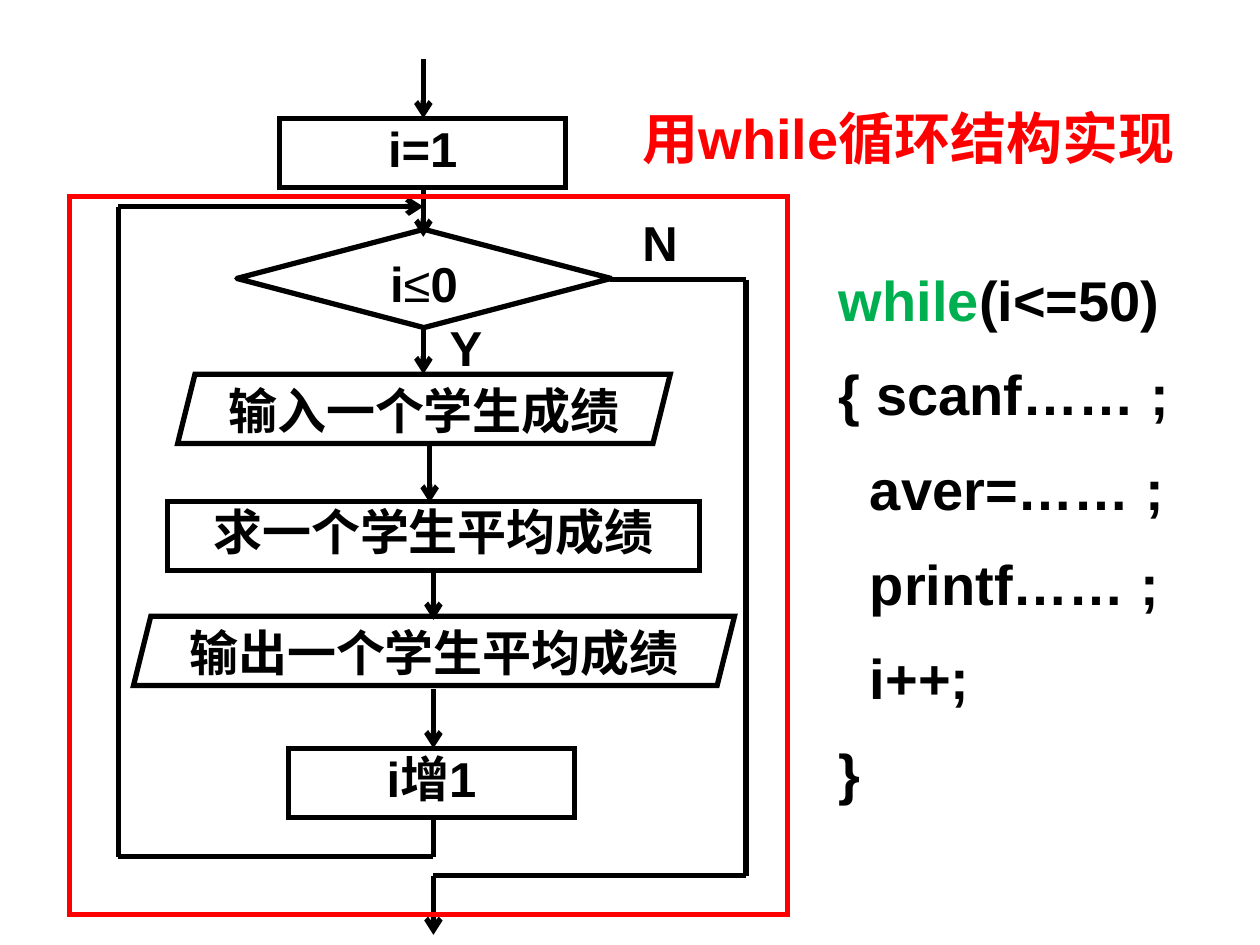
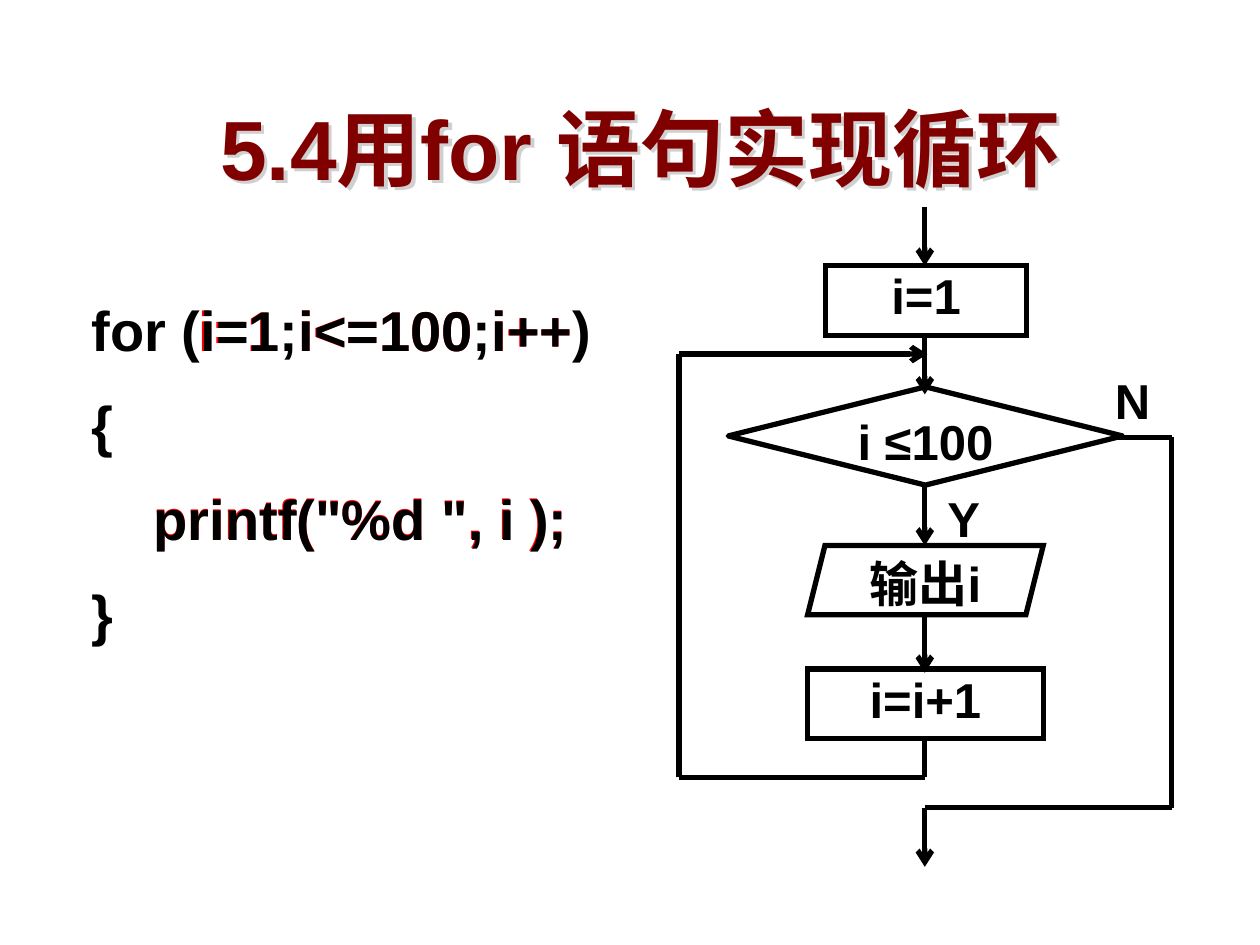
from lxml import etree
from pptx import Presentation
from pptx.dml.color import RGBColor
from pptx.enum.shapes import MSO_CONNECTOR, MSO_SHAPE
from pptx.enum.text import MSO_ANCHOR, MSO_AUTO_SIZE, PP_ALIGN
from pptx.oxml import parse_xml
from pptx.oxml.ns import nsdecls, qn
from pptx.util import Emu, Pt

PX = 9144
FONT = "Arial"
BLACK = RGBColor(0, 0, 0)
WHITE = RGBColor(255, 255, 255)
RED = RGBColor(255, 0, 0)
GREEN = RGBColor(0, 176, 80)
MAROON = RGBColor(128, 0, 0)
SHADOW = RGBColor(208, 208, 208)
PROCESS = MSO_SHAPE.FLOWCHART_PROCESS
DECISION = MSO_SHAPE.FLOWCHART_DECISION
DATA = MSO_SHAPE.PARALLELOGRAM


def px(*lengths):
    return [Emu(length * PX) for length in lengths]


def set_text(frame, lines, size, color, align=PP_ALIGN.LEFT, code=False):
    frame.auto_size = MSO_AUTO_SIZE.NONE
    for index, parts in enumerate(lines):
        paragraph = frame.add_paragraph() if index else frame.paragraphs[0]
        paragraph.alignment = align
        if code:
            paragraph.line_spacing = 1.2
            if index:
                paragraph.space_before = Pt(8)
        paragraph.font.name = FONT
        paragraph.font.size = Pt(size)
        paragraph.font.bold = True
        paragraph.font.color.rgb = color
        for part in parts:
            run = paragraph.add_run()
            run.text = part
            if part == "while":
                run.font.color.rgb = GREEN
            elif part == "≤":
                run.font.bold = False


while_chart = {
    "title": ("用while循环结构实现", (500, 77, 477, 64), 32, RED, PP_ALIGN.LEFT, MSO_ANCHOR.TOP),
    "code": [
        ((656, 195, 297, 461), BLACK,
         [["while", "(i<=50)"], ["{ scanf…… ;"], ["  aver=…… ;"],
          ["  printf…… ;"], ["  i++;"], ["}"]]),
    ],
    "nodes": [
        (PROCESS, (222, 94, 227, 55), ["i=1"]),
        (DECISION, (188, 182, 297, 78), ["i", "≤", "0"]),
        (DATA, (141, 297, 391, 55), ["输入一个学生成绩"]),
        (PROCESS, (133, 398, 422, 55), ["求一个学生平均成绩"]),
        (DATA, (106, 489, 477, 55), ["输出一个学生平均成绩"]),
        (PROCESS, (229, 594, 227, 55), ["i增1"]),
    ],
    "arrows": [
        [(336, 47), (336, 94)],
        [(336, 148), (336, 188)],
        [(336, 258), (336, 297)],
        [(341, 352), (341, 399)],
        [(344, 453), (344, 492)],
        [(344, 547), (344, 594)],
        [(344, 648), (344, 680), (94, 680), (94, 164), (336, 164)],
        [(484, 222), (592, 222), (592, 695), (344, 695), (344, 742)],
    ],
    "branches": {"Y": (347, 247), "N": (500, 164)},
}
for_chart = {
    "title": ("5.4用for 语句实现循环", (47, 71, 922, 91), 48, MAROON, PP_ALIGN.CENTER, MSO_ANCHOR.MIDDLE),
    "code": [
        ((112, 368, 367, 78), RED, [['printf("%d ", i );']]),
        ((380, 219, 102, 78), RED, [["i++"]]),
        ((227, 219, 180, 70), RED, [["i<=100"]]),
        ((148, 219, 102, 63), RED, [["i=1"]]),
        ((63, 219, 422, 313), BLACK,
         [["for (i=1;i<=100;i++)"], ["{"], ['    printf("%d ", i );'], ["}"]]),
    ],
    "nodes": [
        (PROCESS, (655, 211, 160, 55), ["i=1"]),
        (DECISION, (578, 307, 313, 78), ["i ≤100"]),
        (DATA, (641, 433, 187, 55), ["输出i"]),
        (PROCESS, (641, 531, 187, 55), ["i=i+1"]),
    ],
    "arrows": [
        [(734, 164), (734, 211)],
        [(734, 266), (734, 313)],
        [(734, 386), (734, 433)],
        [(734, 487), (734, 534)],
        [(734, 586), (734, 617), (539, 617), (539, 281), (736, 281)],
        [(885, 347), (930, 347), (930, 641), (734, 641), (734, 688)],
    ],
    "branches": {"Y": (742, 383), "N": (875, 289)},
}

prs = Presentation()
prs.slide_width, prs.slide_height = px(1000, 750)

for chart in (while_chart, for_chart):
    slide = prs.slides.add_slide(prs.slide_layouts[5])
    shapes = slide.shapes

    heading, place, size, color, align, anchor = chart["title"]
    title = shapes.title
    title.left, title.top, title.width, title.height = px(*place)
    title.text_frame.vertical_anchor = anchor
    set_text(title.text_frame, [[heading]], size, color, align)

    for place, color, lines in chart["code"]:
        code = shapes.add_textbox(*px(*place))
        code.text_frame.word_wrap = True
        set_text(code.text_frame, lines, 32, color, code=True)

    for kind, place, parts in chart["nodes"]:
        node = shapes.add_shape(kind, *px(*place))
        node.shadow.inherit = False
        node.fill.solid()
        node.fill.fore_color.rgb = WHITE
        node.line.color.rgb = BLACK
        node.line.width = Pt(3)
        if kind != DECISION:
            etree.SubElement(node.line._get_or_add_ln(), qn("a:miter"), lim="800000")
        frame = node.text_frame
        frame.margin_left = frame.margin_right = frame.margin_top = frame.margin_bottom = 0
        frame.vertical_anchor = MSO_ANCHOR.TOP
        frame.word_wrap = False
        set_text(frame, [parts], 28, BLACK, PP_ALIGN.CENTER)

    for route in chart["arrows"]:
        for start, end in zip(route, route[1:]):
            leg = shapes.add_connector(MSO_CONNECTOR.STRAIGHT, *px(*start, *end))
            leg.line.color.rgb = BLACK
            leg.line.width = Pt(3)
            if end == route[-1]:
                etree.SubElement(leg.line._get_or_add_ln(), qn("a:tailEnd"), type="arrow")
            etree.SubElement(leg._element.spPr, qn("a:effectLst"))

    for answer, corner in chart["branches"].items():
        branch = shapes.add_textbox(*px(*corner, 55, 57))
        branch.text_frame.word_wrap = True
        set_text(branch.text_frame, [[answer]], 28, BLACK)

loop_frame = prs.slides[0].shapes.add_shape(MSO_SHAPE.RECTANGLE, *px(55, 156, 570, 570))
loop_frame.shadow.inherit = False
loop_frame.fill.background()
loop_frame.line.color.rgb = RED
loop_frame.line.width = Pt(3)
etree.SubElement(loop_frame.line._get_or_add_ln(), qn("a:miter"), lim="800000")

prs.slides[1].shapes.title._element.spPr.append(parse_xml(
    f'<a:effectLst {nsdecls("a")}><a:outerShdw dist="38100" dir="2700000">'
    f'<a:srgbClr val="{SHADOW}"/></a:outerShdw></a:effectLst>'))

prs.save("out.pptx")
